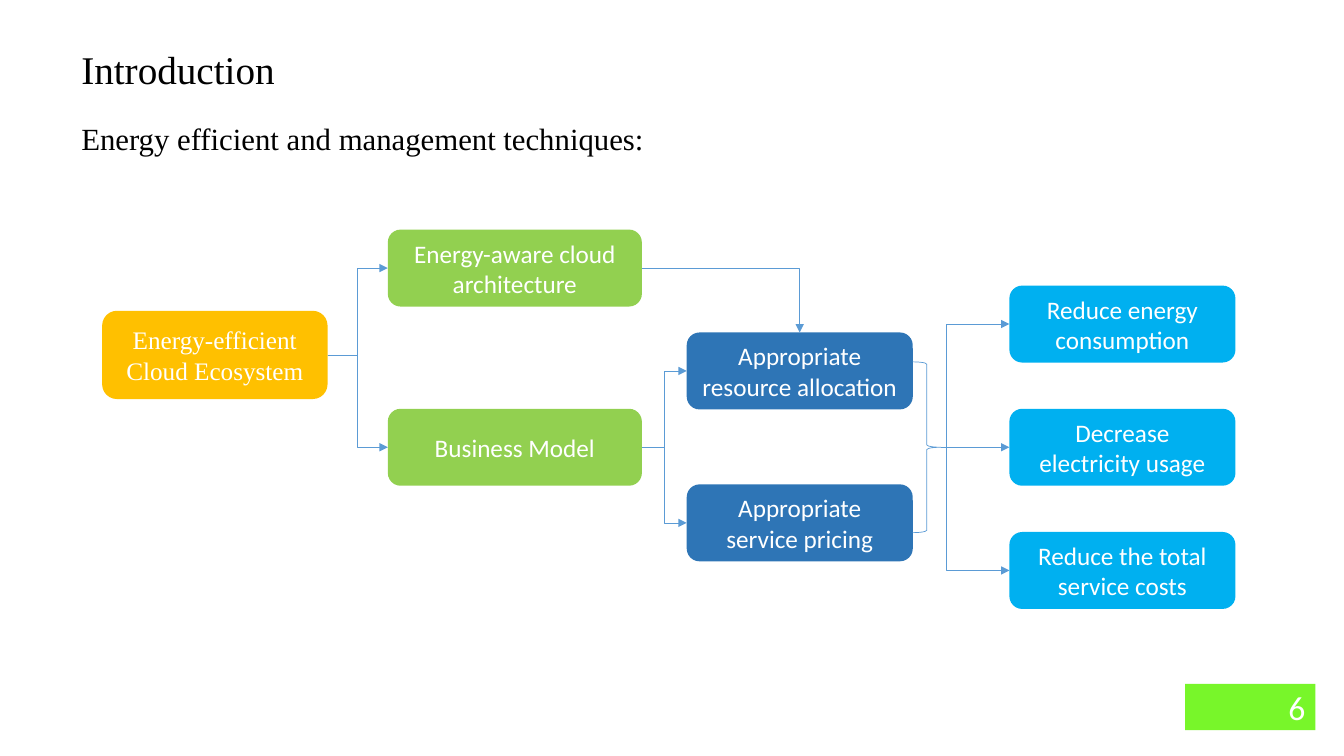
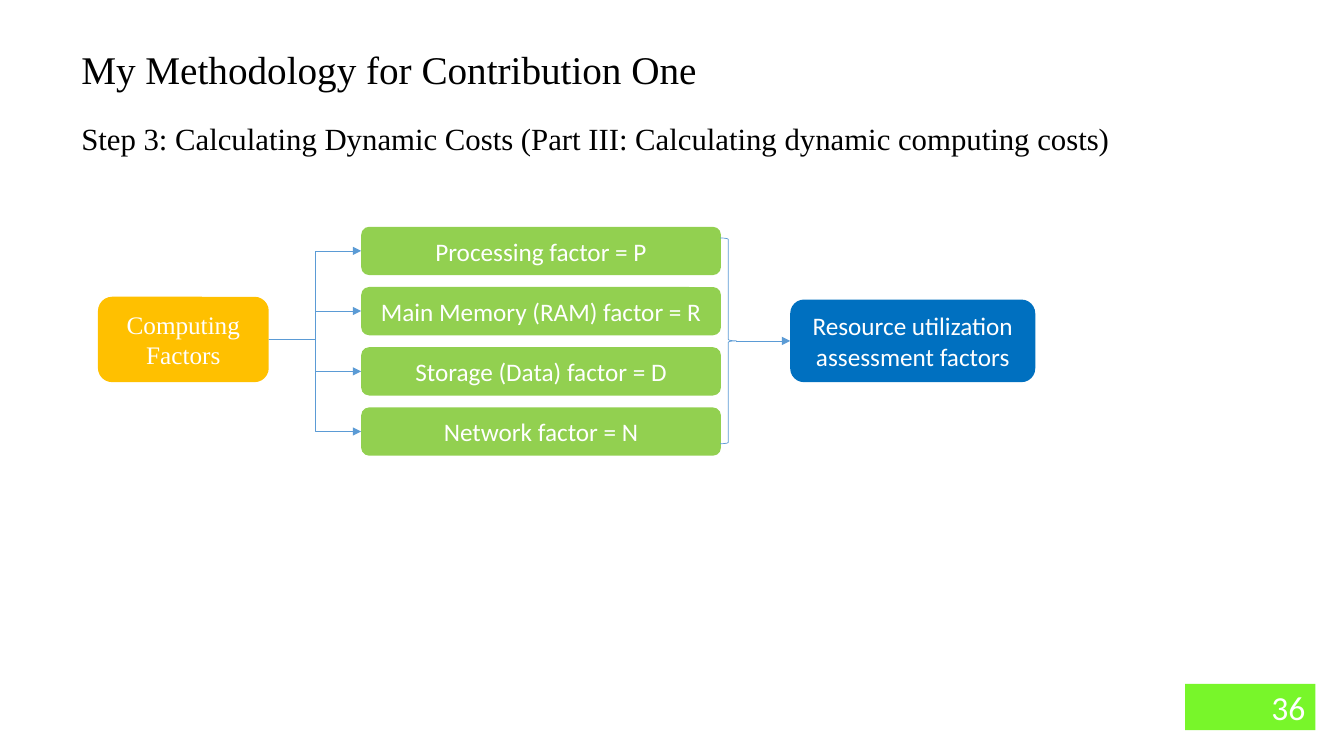
from pptx import Presentation
from pptx.dml.color import RGBColor
from pptx.enum.shapes import MSO_CONNECTOR, MSO_SHAPE
from pptx.enum.text import MSO_ANCHOR, MSO_AUTO_SIZE, PP_ALIGN
from pptx.oxml.ns import qn
from pptx.util import Pt
from lxml import etree

ROUNDED, RECTANGLE, BRACE = MSO_SHAPE.ROUNDED_RECTANGLE, MSO_SHAPE.RECTANGLE, MSO_SHAPE.RIGHT_BRACE
ELBOW, STRAIGHT = MSO_CONNECTOR.ELBOW, MSO_CONNECTOR.STRAIGHT
LEFT, CENTER, RIGHT, JUSTIFY = PP_ALIGN.LEFT, PP_ALIGN.CENTER, PP_ALIGN.RIGHT, PP_ALIGN.JUSTIFY
MIDDLE = MSO_ANCHOR.MIDDLE
GROW = MSO_AUTO_SIZE.SHAPE_TO_FIT_TEXT

SANS, SERIF = "Calibri", "Times New Roman"
WHITE, BLACK = "FFFFFF", "000000"
AMBER, GREEN, LIME = "FFC000", "92D050", "78F62A"
STEEL, BLUE, CYAN, LINE = "2E75B6", "0070C0", "00B0F0", "5B9BD5"
TOP_SITE, LEFT_SITE, RIGHT_SITE, BRACE_TIP = 0, 1, 3, 1


def rgb(value):
    return RGBColor.from_string(value)


def points(*lengths):
    return [Pt(length) for length in lengths]


def write(frame, text, size, font, color, align):
    frame.word_wrap = True
    paragraph = frame.paragraphs[0]
    paragraph.text = text
    paragraph.alignment = align
    for run in paragraph.runs:
        run.font.size = Pt(size)
        run.font.name = font
        run.font.color.rgb = rgb(color)


def add_block(slide, outline, box, fill, text, size=18, font=SANS, align=CENTER):
    block = slide.shapes.add_shape(outline, *points(*box))
    block.shadow.inherit = False
    block.fill.solid()
    block.fill.fore_color.rgb = rgb(fill)
    block.line.fill.background()
    block.text_frame.vertical_anchor = MIDDLE
    write(block.text_frame, text, size, font, WHITE, align)
    return block


def add_stack(slide, box, pitch, fill, labels):
    left, top, width, height = box
    return [
        add_block(slide, ROUNDED, (left, top + row * pitch, width, height), fill, label)
        for row, label in enumerate(labels)
    ]


def add_brace(slide, box):
    brace = slide.shapes.add_shape(BRACE, *points(*box))
    brace.shadow.inherit = False
    brace.fill.background()
    brace.line.color.rgb = rgb(LINE)
    brace.line.width = Pt(0.5)
    return brace


def add_arrow(slide, source, target, kind=ELBOW, source_site=RIGHT_SITE, target_site=LEFT_SITE):
    arrow = slide.shapes.add_connector(kind, *points(0, 0, 0, 0))
    arrow.begin_connect(source, source_site)
    arrow.begin_x = source.left + source.width
    arrow.end_connect(target, target_site)
    arrow.line.color.rgb = rgb(LINE)
    arrow.line.width = Pt(0.5)
    properties = arrow.element.spPr
    etree.SubElement(properties.find(qn("a:ln")), qn("a:tailEnd"), type="triangle")
    etree.SubElement(properties, qn("a:effectLst"))
    return arrow


def bend_at(arrow, share):
    guides = arrow.element.spPr.find(qn("a:prstGeom")).find(qn("a:avLst"))
    etree.SubElement(guides, qn("a:gd"), name="adj1", fmla=f"val {round(share * 100000)}")


def bend_once(arrow):
    arrow.element.spPr.find(qn("a:prstGeom")).set("prst", "bentConnector2")


def fan_out(slide, source, targets):
    for target in targets:
        add_arrow(slide, source, target)


def add_heading(slide, box, text, size, align):
    heading = slide.shapes.add_textbox(*points(*box))
    write(heading.text_frame, text, size, SERIF, BLACK, align)
    heading.text_frame.auto_size = GROW


def add_frame(deck, title, subtitle, page, title_align):
    slide = deck.slides.add_slide(deck.slide_layouts[6])
    add_block(slide, RECTANGLE, (846.5, 488.5, 93, 33), LIME, page, 24, align=RIGHT)
    add_heading(slide, (51, 29, 888.5, 41), title, 28, title_align)
    add_heading(slide, (51, 82, 852, 34), subtitle, 22, JUSTIFY)
    return slide


def draw_ecosystem(slide, left, top):
    ecosystem = add_block(slide, ROUNDED, (left, top + 58, 161, 63), AMBER,
                          "Energy-efficient Cloud Ecosystem", font=SERIF)
    architecture, business = add_stack(
        slide, (left + 204, top, 181.5, 55), 128, GREEN,
        ["Energy-aware cloud architecture", "Business Model"])
    techniques = add_stack(
        slide, (left + 417.5, top + 73.5, 161.5, 55), 108.5, STEEL,
        ["Appropriate resource allocation", "Appropriate service pricing"])
    benefits = add_stack(
        slide, (left + 648, top + 40, 161.5, 55), 88, CYAN,
        ["Reduce energy consumption", "Decrease electricity usage", "Reduce the total service costs"])
    brace = add_brace(slide, (left + 579, top + 94.5, 20, 122))

    fan_out(slide, ecosystem, [architecture, business])
    fan_out(slide, business, techniques)
    bend_once(add_arrow(slide, architecture, techniques[0], target_site=TOP_SITE))
    energy, electricity, costs = benefits
    for benefit in (energy, costs):
        bend_at(add_arrow(slide, brace, benefit, source_site=BRACE_TIP), 0.08)
    add_arrow(slide, brace, electricity, STRAIGHT, BRACE_TIP)


def draw_factors(slide, left, top):
    computing = add_block(slide, ROUNDED, (left, top + 50, 122, 61), AMBER,
                          "Computing Factors", font=SERIF)
    factors = add_stack(
        slide, (left + 188, top, 257, 34.5), 43, GREEN,
        ["Processing factor = P", "Main Memory (RAM) factor = R",
         "Storage (Data) factor = D", "Network factor = N"])
    brace = add_brace(slide, (left + 444.5, top + 8, 11.5, 147))
    assessment = add_block(slide, ROUNDED, (left + 494.5, top + 52, 175, 59), BLUE,
                           "Resource utilization assessment factors")

    fan_out(slide, computing, factors)
    add_arrow(slide, brace, assessment, STRAIGHT, BRACE_TIP)


def main():
    deck = Presentation()
    deck.slide_width, deck.slide_height = points(960, 540)
    introduction = add_frame(deck, "Introduction",
                             "Energy efficient and management techniques:", "6", LEFT)
    draw_ecosystem(introduction, 73, 164)
    methodology = add_frame(
        deck, "My Methodology for Contribution One",
        "Step 3: Calculating Dynamic Costs (Part III: Calculating dynamic computing costs)",
        "36", JUSTIFY)
    draw_factors(methodology, 70, 162)
    deck.save("out.pptx")


if __name__ == "__main__":
    main()
